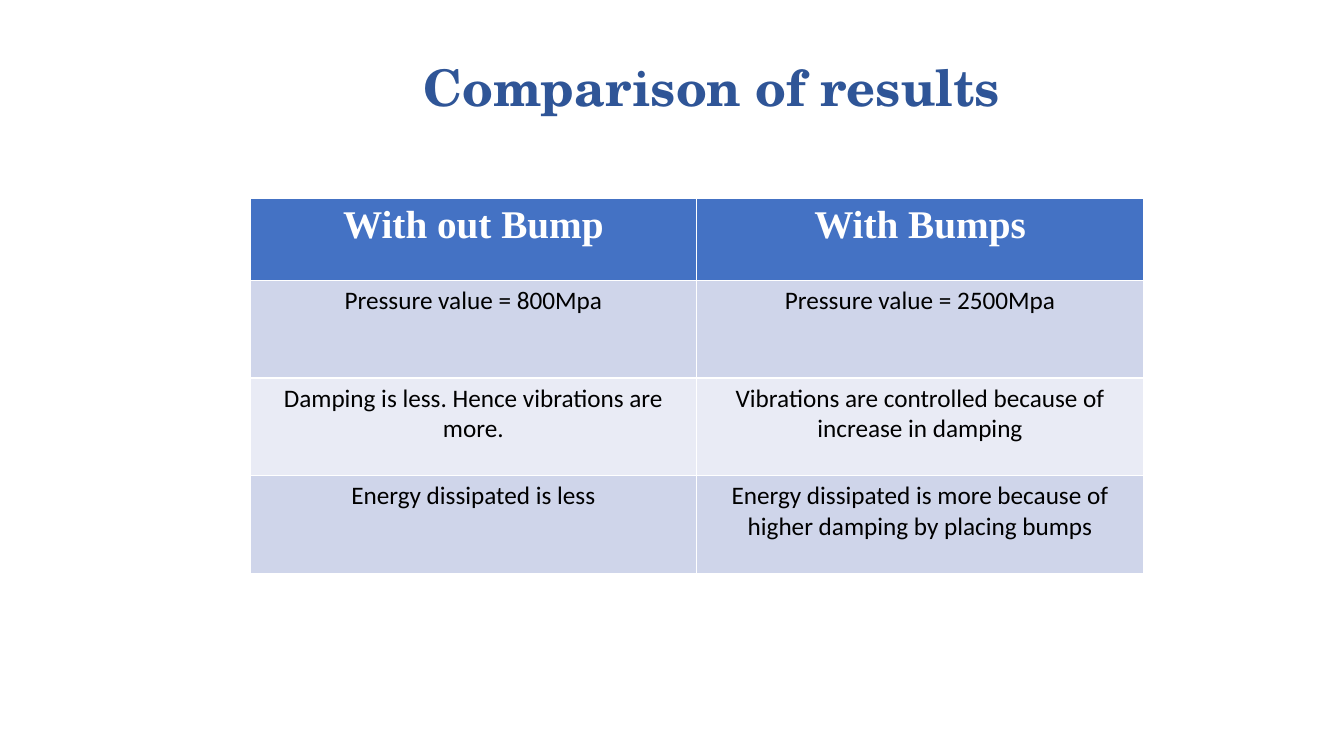
"""Build a slide that compares results without and with bumps in a table."""
from pptx import Presentation
from pptx.dml.color import RGBColor
from pptx.enum.text import MSO_ANCHOR, PP_ALIGN
from pptx.util import Inches, Pt

CENTER = PP_ALIGN.CENTER
MIDDLE = MSO_ANCHOR.MIDDLE

COLORS = {
    "title": "2F5597",
    "head": "4472C4",
    "odd": "CFD5EA",
    "even": "E9EBF5",
    "white": "FFFFFF",
    "black": "000000",
}

ROWS = [
    ("With out Bump", "With Bumps"),
    ("Pressure value = 800Mpa", "Pressure value = 2500Mpa"),
    ("Damping is less. Hence vibrations are more.",
     "Vibrations are controlled because of increase in damping"),
    ("Energy dissipated is less",
     "Energy dissipated is more because of higher damping by placing bumps"),
]


def color(name):
    return RGBColor.from_string(COLORS[name])


def write(frame, text, font, size, tint, bold):
    para = frame.paragraphs[0]
    para.alignment = CENTER
    run = para.add_run()
    run.text = text
    run.font.name = font
    run.font.size = Pt(size)
    run.font.bold = bold
    run.font.color.rgb = color(tint)
    return para


deck = Presentation()
deck.slide_width = Inches(13.33)
deck.slide_height = Inches(7.5)
slide = deck.slides.add_slide(deck.slide_layouts[6])

title = slide.shapes.add_textbox(Inches(1.31), Inches(0.17), Inches(11.5), Inches(1.45))
title.text_frame.word_wrap = True
title.text_frame.vertical_anchor = MIDDLE
para = write(title.text_frame, "Comparison of results", "TeX Gyre Schola", 36, "title", True)
para.line_spacing = 0.9

table = slide.shapes.add_table(
    len(ROWS), 2, Inches(2.48), Inches(1.97), Inches(8.86), Inches(3.72)).table

for r, texts in enumerate(ROWS):
    head = r == 0
    table.rows[r].height = Inches(0.81 if head else 0.97)
    fill = "head" if head else "odd" if r % 2 else "even"
    style = ("Times New Roman", 28, "white", True) if head else ("Calibri", 18, "black", False)
    for c, text in enumerate(texts):
        cell = table.cell(r, c)
        cell.fill.solid()
        cell.fill.fore_color.rgb = color(fill)
        write(cell.text_frame, text, *style)

deck.save("out.pptx")
